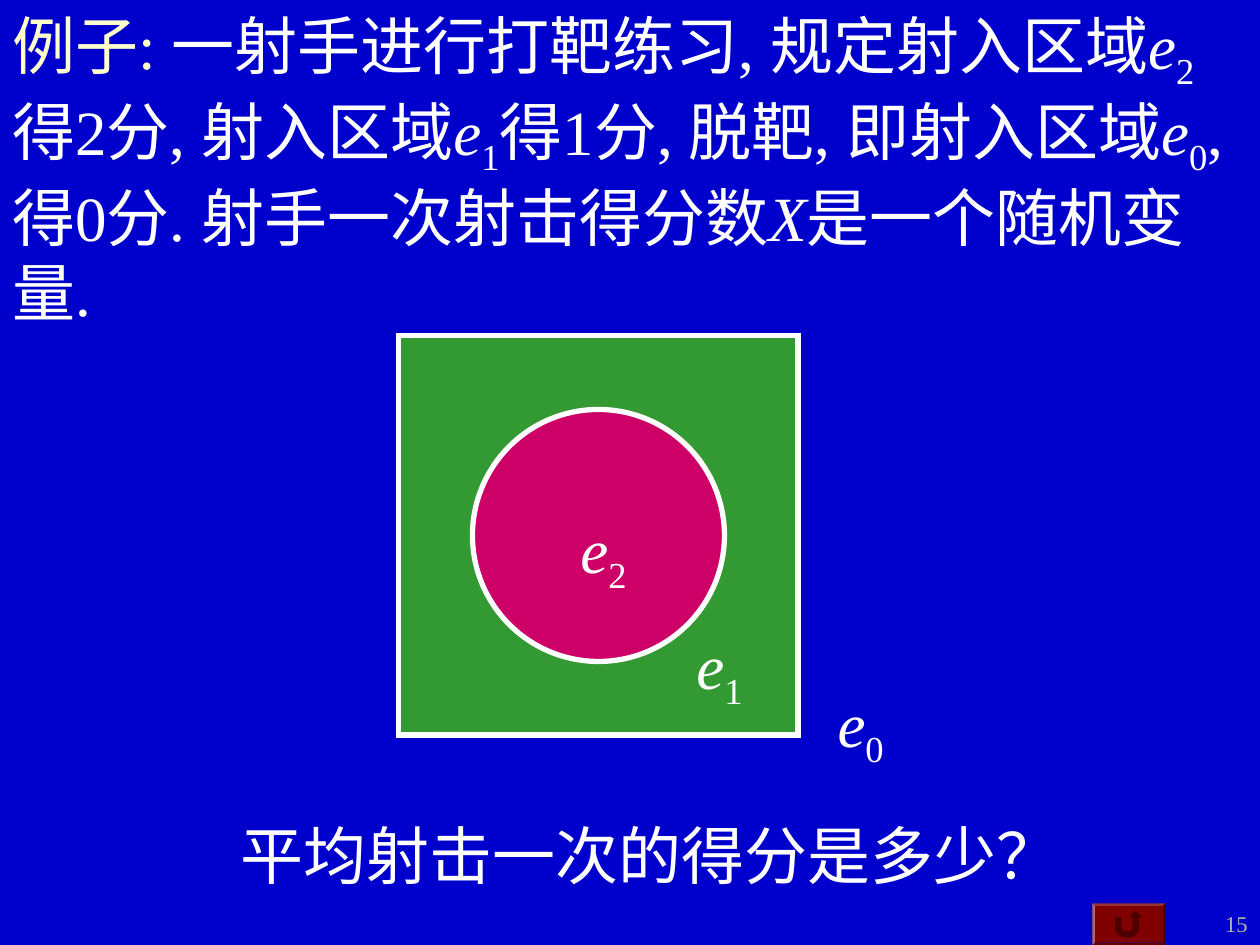
import math

import lxml.etree
import pptx
import pptx.dml.color
import pptx.enum.shapes
import pptx.enum.text
import pptx.oxml.ns
import pptx.util

Inches, Pt = pptx.util.Inches, pptx.util.Pt
RGBColor = pptx.dml.color.RGBColor
MSO_SHAPE = pptx.enum.shapes.MSO_SHAPE
MSO_ANCHOR = pptx.enum.text.MSO_ANCHOR
AUTO_SIZE = pptx.enum.text.MSO_AUTO_SIZE
ALIGN = pptx.enum.text.PP_ALIGN

BLUE = RGBColor(0x00, 0x00, 0xCC)
WHITE = RGBColor(0xFF, 0xFF, 0xFF)
CREAM = RGBColor(0xFF, 0xFF, 0xCC)
GREEN = RGBColor(0x33, 0x99, 0x33)
PINK = RGBColor(0xCC, 0x00, 0x66)
GREY = RGBColor(0xB2, 0xB2, 0xB2)
MAROON = RGBColor(0x80, 0x00, 0x00)
DARK_MAROON = RGBColor(0x4D, 0x00, 0x00)


# Content: each run is (text, format)
def region(index):
    return [("e", {"italic": True}), (index, {"sub": True})]


EXAMPLE = [
    ("例子: ", {"color": CREAM}),
    ("一射手进行打靶练习, 规定射入区域", {}),
    *region("2"),
    ("得2分, 射入区域", {}),
    *region("1"),
    ("得1分, 脱靶, 即射入区域", {}),
    *region("0"),
    (", 得0分. 射手一次射击得分数", {}),
    ("X", {"italic": True}),
    ("是一个随机变量.", {}),
]
QUESTION = [("平均射击一次的得分是多少？", {})]
PAGE = [("15", {"size": 12.9, "color": GREY})]

# Box (left, top, width, height), runs, alignment
TEXTS = [
    ((9.33, 7.17, 0.67, 0.33), PAGE, ALIGN.RIGHT),
    ((0, 0, 10, 2.5), EXAMPLE, ALIGN.LEFT),
    ((1.06, 6.43, 8.19, 0.7), QUESTION, ALIGN.CENTER),
]

# Region labels: index, left, top; the boxes fit their unwrapped text
LABELS = [("0", 6.54, 5.38), ("1", 5.42, 4.92), ("2", 4.5, 4)]
LABEL_SIZE = (0.58, 0.79)

# Target: concentric shapes
TARGET_CENTER = (4.75, 4.25)
TARGET = [(MSO_SHAPE.RECTANGLE, 3.17, GREEN), (MSO_SHAPE.OVAL, 2, PINK)]

BUTTON = (8.67, 7.17, 0.58, 0.33)


def place(box):
    return [Inches(v) for v in box]


def paint(sp, fill, line=None):
    sp.shadow.inherit = False
    sp.fill.solid()
    sp.fill.fore_color.rgb = fill
    if line is None:
        sp.line.fill.background()
    else:
        sp.line.color.rgb = line
        sp.line.width = Pt(3)
        # Sharp corners
        ln = sp.line._get_or_add_ln()
        miter = lxml.etree.SubElement(ln, pptx.oxml.ns.qn("a:miter"))
        miter.set("lim", "800000")


def add_text(s, box, runs, align, fit=False):
    tf = s.shapes.add_textbox(*place(box)).text_frame
    frame = {"word_wrap": not fit, "vertical_anchor": MSO_ANCHOR.TOP,
             "auto_size": AUTO_SIZE.SHAPE_TO_FIT_TEXT if fit else AUTO_SIZE.NONE}
    for key, value in frame.items():
        setattr(tf, key, value)
    p = tf.paragraphs[0]
    p.alignment = align
    for text, fmt in runs:
        r = p.add_run()
        r.text = text
        values = {"name": "Times New Roman", "size": Pt(fmt.get("size", 36)),
                  "italic": fmt.get("italic", False)}
        for key, value in values.items():
            setattr(r.font, key, value)
        r.font.color.rgb = fmt.get("color", WHITE)
        if fmt.get("sub"):
            r._r.get_or_add_rPr().set("baseline", "-25000")


def arc(cx, cy, radius, start, end, steps=12):
    angles = [math.radians(start + (end - start) * i / steps)
              for i in range(steps + 1)]
    return [(cx + radius * math.cos(a), cy + radius * math.sin(a))
            for a in angles]


def add_return_button(s):
    sp = s.shapes.add_shape(MSO_SHAPE.BEVEL, *place(BUTTON))
    sp.adjustments[0] = 0.06
    paint(sp, MAROON)

    # U-turn arrow: inner bend, head, outer bend
    points = [(8.85, 7.28), (8.9, 7.28),
              *arc(8.93, 7.36, 0.03, 180, 90),
              *arc(8.96, 7.36, 0.03, 90, 0),
              (8.99, 7.28), (8.96, 7.28), (9.01, 7.23), (9.07, 7.28),
              (9.04, 7.28),
              *arc(8.96, 7.36, 0.08, 0, 90),
              *arc(8.93, 7.36, 0.08, 90, 180)]
    points = [(Inches(x), Inches(y)) for x, y in points]
    builder = s.shapes.build_freeform(*points[0])
    builder.add_line_segments(points[1:], close=True)
    paint(builder.convert_to_shape(), DARK_MAROON)


def main():
    prs = pptx.Presentation()
    prs.slide_width, prs.slide_height = Inches(10), Inches(7.5)
    s = prs.slides.add_slide(prs.slide_layouts[6])
    s.background.fill.solid()
    s.background.fill.fore_color.rgb = BLUE

    add_return_button(s)

    # Target regions
    cx, cy = TARGET_CENTER
    for kind, size, fill in TARGET:
        box = (cx - size / 2, cy - size / 2, size, size)
        paint(s.shapes.add_shape(kind, *place(box)), fill, WHITE)

    # Text and region labels
    for item in TEXTS:
        add_text(s, *item)
    for index, left, top in LABELS:
        add_text(s, (left, top, *LABEL_SIZE), region(index), ALIGN.CENTER, fit=True)

    prs.save("out.pptx")


if __name__ == "__main__":
    main()
